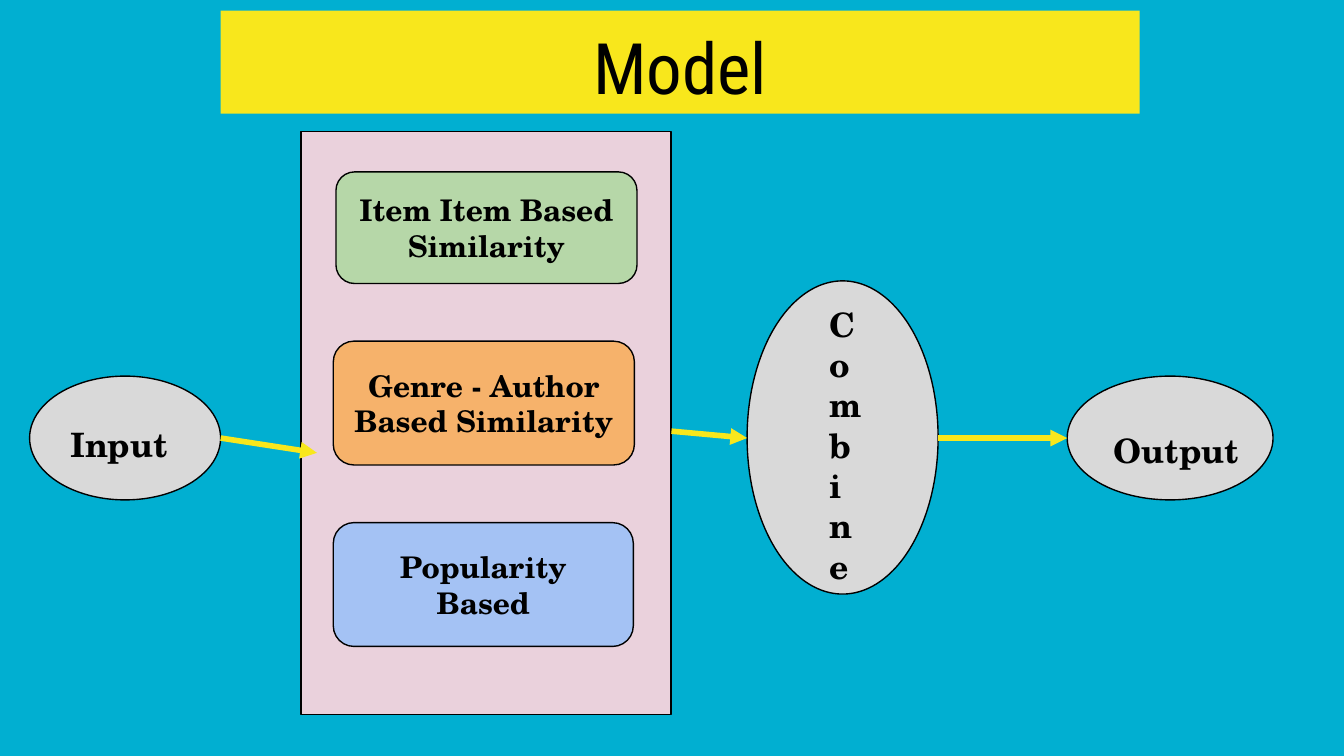
from pptx import Presentation
from pptx.dml.color import RGBColor
from pptx.enum.shapes import MSO_CONNECTOR, MSO_SHAPE
from pptx.enum.text import MSO_ANCHOR, MSO_AUTO_SIZE, PP_ALIGN
from pptx.oxml.ns import qn
from pptx.util import Cm, Pt
from lxml.etree import SubElement

BACKGROUND = RGBColor(0x01, 0xAF, 0xD1)
YELLOW = RGBColor(0xF8, 0xE7, 0x1C)
PINK = RGBColor(0xEA, 0xD1, 0xDC)
GREEN = RGBColor(0xB6, 0xD7, 0xA8)
ORANGE = RGBColor(0xF6, 0xB2, 0x6B)
BLUE = RGBColor(0xA4, 0xC2, 0xF4)
GREY = RGBColor(0xD9, 0xD9, 0xD9)
BLACK = RGBColor(0, 0, 0)

TITLE_FONT = {"name": "Roboto Condensed", "size": Pt(38), "bold": False}
CARD_FONT = {"name": "TeX Gyre Schola", "size": Pt(16), "bold": True}
LABEL_FONT = {**CARD_FONT, "size": Pt(18)}
INSET = Cm(0.25)
FRAME_FORMAT = {
    "word_wrap": True, "auto_size": MSO_AUTO_SIZE.NONE,
    "margin_left": INSET, "margin_right": INSET,
    "margin_top": INSET, "margin_bottom": INSET,
}


def set_attributes(target, values):
    for name, value in values.items():
        setattr(target, name, value)


def to_cm(box):
    return [Cm(length) for length in box]


def write_text(shape, text, font, alignment, anchor):
    frame = shape.text_frame
    set_attributes(frame, {**FRAME_FORMAT, "vertical_anchor": anchor})
    paragraph = frame.paragraphs[0]
    paragraph.alignment = alignment
    run = paragraph.add_run()
    run.text = text
    set_attributes(run.font, font)
    run.font.color.rgb = BLACK


def add_outlined(slide, kind, box, fill):
    shape = slide.shapes.add_shape(kind, *to_cm(box))
    shape.shadow.inherit = False
    shape.fill.solid()
    shape.fill.fore_color.rgb = fill
    shape.line.color.rgb = BLACK
    shape.line.width = Pt(0.75)
    return shape


def add_title(slide, box, text):
    title = slide.shapes.title
    set_attributes(title, dict(zip(("left", "top", "width", "height"), to_cm(box))))
    title.fill.solid()
    title.fill.fore_color.rgb = YELLOW
    write_text(title, text, TITLE_FONT, PP_ALIGN.CENTER, MSO_ANCHOR.TOP)


def add_model_panel(slide, box, cards):
    """Place the panel; each card's box is measured from the panel's corner."""
    left, top = box[:2]
    add_outlined(slide, MSO_SHAPE.RECTANGLE, box, PINK)
    for text, fill, (x, y, width, height) in cards:
        card = add_outlined(slide, MSO_SHAPE.ROUNDED_RECTANGLE,
                            (left + x, top + y, width, height), fill)
        card.adjustments[0] = 0.167
        write_text(card, text, CARD_FONT, PP_ALIGN.CENTER, MSO_ANCHOR.MIDDLE)


def add_stage(slide, box, text, label_box):
    """Place an ellipse and its label, measured from the ellipse's corner."""
    left, top = box[:2]
    x, y, width, height = label_box
    add_outlined(slide, MSO_SHAPE.OVAL, box, GREY)
    label = slide.shapes.add_textbox(*to_cm((left + x, top + y, width, height)))
    write_text(label, text, LABEL_FONT, PP_ALIGN.LEFT, MSO_ANCHOR.TOP)


def add_arrow(slide, start, end):
    arrow = slide.shapes.add_connector(MSO_CONNECTOR.STRAIGHT, *to_cm(start + end))
    arrow.line.color.rgb = YELLOW
    arrow.line.width = Pt(3)
    SubElement(arrow.line._get_or_add_ln(), qn("a:tailEnd"), type="triangle")
    SubElement(arrow._element.spPr, qn("a:effectLst"))


def build_model_slide(presentation):
    slide = presentation.slides.add_slide(presentation.slide_layouts[5])
    slide.background.fill.solid()
    slide.background.fill.fore_color.rgb = BACKGROUND

    add_title(slide, (4.17, 0.2, 17.37, 1.95), "Model")
    add_model_panel(slide, (5.69, 2.49, 6.99, 11.02), [
        ("Item Item Based Similarity", GREEN, (0.66, 0.76, 5.69, 2.11)),
        ("Genre - Author Based Similarity", ORANGE, (0.61, 3.96, 5.69, 2.34)),
        ("Popularity Based", BLUE, (0.61, 7.39, 5.67, 2.34)),
    ])

    add_stage(slide, (0.56, 7.11, 3.61, 2.34), "Input", (0.53, 0.66, 2.87, 1.02))
    add_stage(slide, (14.12, 5.31, 3.61, 5.92), "Combine", (1.3, 0.18, 0.89, 3.81))
    add_stage(slide, (20.17, 7.11, 3.89, 2.34), "Output", (0.63, 0.76, 2.87, 0.91))

    middle = 8.28
    add_arrow(slide, (4.17, middle), (5.99, 8.56))
    add_arrow(slide, (12.69, 8.15), (14.12, middle))
    add_arrow(slide, (17.73, middle), (20.17, middle))


def main():
    presentation = Presentation()
    presentation.slide_width = Cm(25.4)
    presentation.slide_height = Cm(14.29)
    build_model_slide(presentation)
    presentation.save("out.pptx")


if __name__ == "__main__":
    main()
